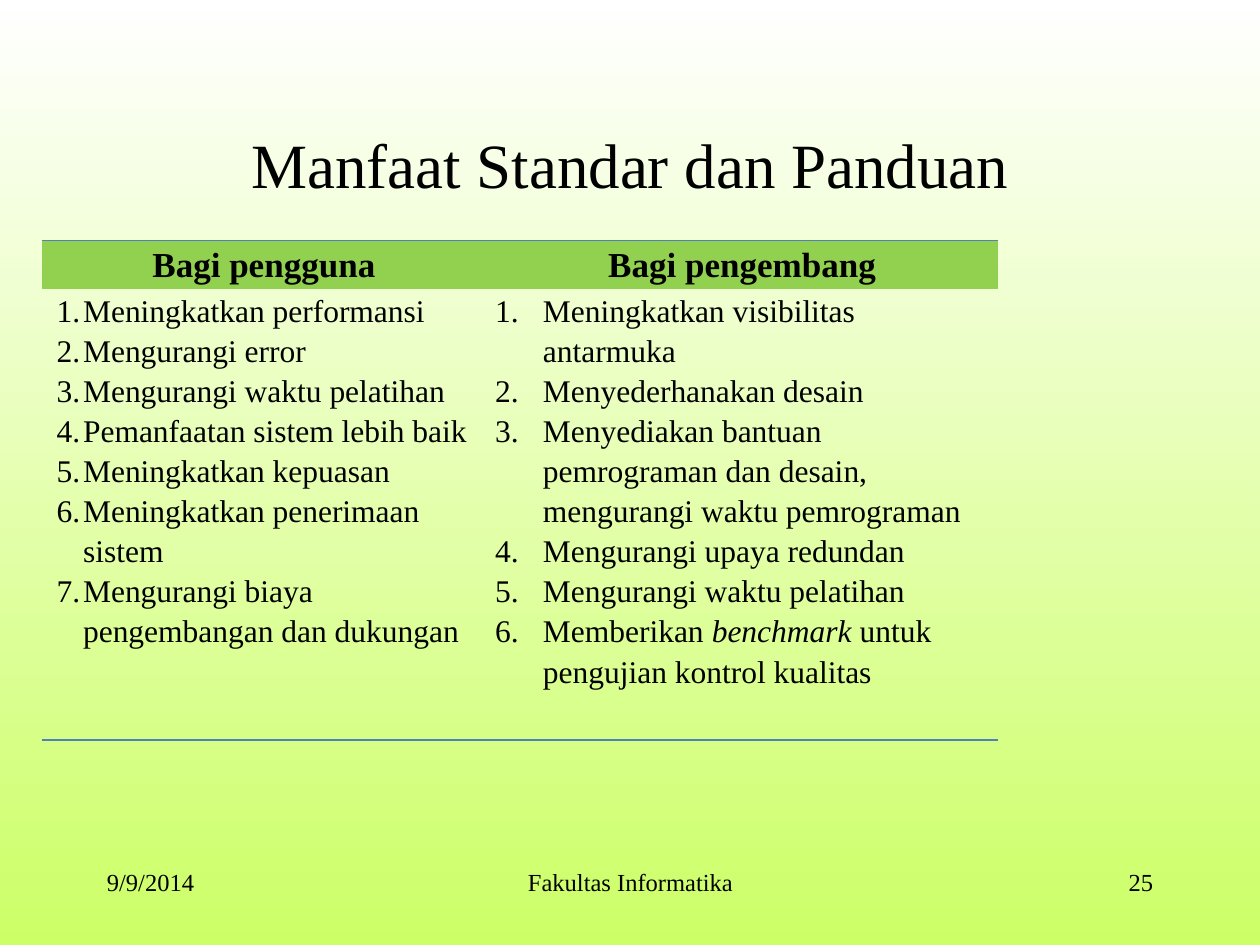
"""Build a slide on the benefits of standards and guidelines."""
from lxml import etree
from pptx import Presentation, util as u
from pptx.dml.color import RGBColor
from pptx.enum import text as t
from pptx.oxml import ns

deck = Presentation()
deck.slide_width, deck.slide_height = u.Inches(10), u.Inches(7.5)
slide = deck.slides.add_slide(deck.slide_layouts[6])
hue = RGBColor.from_string
left, mid, right = t.PP_ALIGN.LEFT, t.PP_ALIGN.CENTER, t.PP_ALIGN.RIGHT


def style(par, size, align, bold=False):
    par.alignment = align
    for run in par.runs:
        run.font.size, run.font.bold = u.Pt(size), bold
        run.font.name, run.font.color.rgb = "Times New Roman", hue("000000")


def add(node, tag, **attrs):
    return etree.SubElement(node, ns.qn(tag), {k: str(v) for k, v in attrs.items()})


fill = slide.background.fill
fill.gradient()
fill.gradient_angle = 270
for stop, tone in zip(fill.gradient_stops, ("FFFFFF", "CCFF66")):
    stop.color.rgb = hue(tone)

labels = [
    ("Manfaat Standar dan Panduan", 0.75, 0.67, 8.5, 1.25, 36, mid),
    ("9/9/2014", 0.75, 6.83, 2.08, 0.5, 14, left),
    ("Fakultas Informatika", 3.42, 6.83, 3.17, 0.5, 14, mid),
    ("25", 7.17, 6.83, 2.08, 0.5, 14, right),
]
for words, x, y, wide, high, size, align in labels:
    frame = slide.shapes.add_textbox(*map(u.Inches, (x, y, wide, high))).text_frame
    frame.word_wrap = True
    frame.text = words
    frame.vertical_anchor = t.MSO_ANCHOR.MIDDLE if size > 14 else t.MSO_ANCHOR.TOP
    style(frame.paragraphs[0], size, align)

lists = [
    ("Bagi pengguna", 3.53, 0.26, -0.21, 0.25, [
        "Meningkatkan performansi",
        "Mengurangi error",
        "Mengurangi waktu pelatihan",
        "Pemanfaatan sistem lebih baik",
        "Meningkatkan kepuasan",
        "Meningkatkan penerimaan sistem",
        "Mengurangi biaya pengembangan dan dukungan",
    ]),
    ("Bagi pengembang", 4.06, 0.38, -0.38, 0.23, [
        "Meningkatkan visibilitas antarmuka",
        "Menyederhanakan desain",
        "Menyediakan bantuan pemrograman dan desain, mengurangi waktu pemrograman",
        "Mengurangi upaya redundan",
        "Mengurangi waktu pelatihan",
        "Memberikan *benchmark* untuk pengujian kontrol kualitas",
    ]),
]
grid = slide.shapes.add_table(2, 2, *map(u.Inches, (0.33, 1.91, 7.59, 3.92))).table
grid.first_row = grid.horz_banding = False
plain = "{2D5ABB26-0587-4C30-8999-92F81FD0307C}"
grid._tbl.tblPr.find(ns.qn("a:tableStyleId")).text = plain
for row, high in zip(grid.rows, (0.34, 3.58)):
    row.height = u.Inches(high)

for col, (title, wide, margin, indent, tab, items) in enumerate(lists):
    grid.columns[col].width = u.Inches(wide)
    head, body = grid.cell(0, col), grid.cell(1, col)
    head.text = title
    par = head.text_frame.paragraphs[0]
    par.line_spacing, par.space_before = 1.15, u.Pt(6)
    style(par, 20, mid, True)

    body.text = "\n".join(item.replace("*", "") for item in items)
    for par, item in zip(body.text_frame.paragraphs, items):
        parts = item.split("*")
        par.runs[0].text = parts[0]
        for num, part in enumerate(parts[1:], 1):
            run = par.add_run()
            run.text, run.font.italic = part, num == 1
        par.line_spacing = 1.15
        style(par, 18, left)
        props = par._p.get_or_add_pPr()
        props.set("marL", str(u.Inches(margin)))
        props.set("indent", str(u.Inches(indent)))
        add(props, "a:buAutoNum", type="arabicPeriod")
        add(add(props, "a:tabLst"), "a:tab", pos=u.Inches(tab), algn="l")

    for cell, edge in ((head, "a:lnT"), (body, "a:lnB")):
        cell.margin_left = cell.margin_right = u.Inches(0.07)
        cell.margin_top = cell.margin_bottom = 0
        line = add(cell._tc.get_or_add_tcPr(), edge, w=u.Pt(1))
        add(add(line, "a:solidFill"), "a:srgbClr", val="4F81BD")
    head.fill.solid()
    head.fill.fore_color.rgb = hue("92D050")
    body.fill.background()

deck.save("out.pptx")
